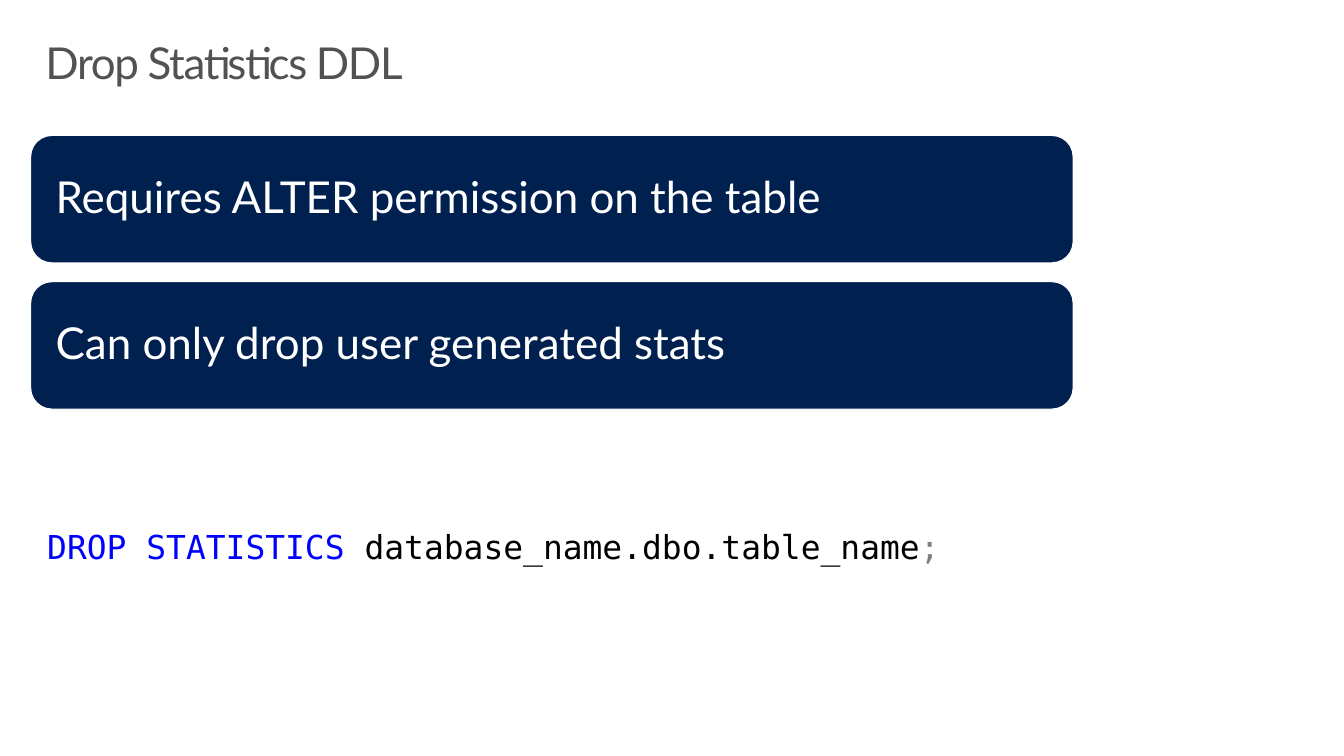
from pptx import Presentation
from pptx.dml.color import RGBColor
from pptx.enum.shapes import MSO_SHAPE as SHAPE
from pptx.enum.text import MSO_ANCHOR as ANCHOR, MSO_AUTO_SIZE as FIT, PP_ALIGN as ALIGN
from pptx.util import Pt

PX = 9144
SANS, MONO = "Lato", "DejaVu Sans Mono"
COLORS = {
    "navy": "002050",
    "white": "FFFFFF",
    "title": "525252",
    "keyword": "0000FF",
    "name": "000000",
    "symbol": "808080",
}


def px(*values):
    """Turn px lengths into EMU."""
    return [v * PX for v in values]


def rgb(name):
    """Look up a named colour."""
    return RGBColor.from_string(COLORS[name])


def set_frame(tf, inset_x, inset_y, anchor):
    """Set wrapping, insets and anchor of a text frame."""
    tf.word_wrap = True
    tf.auto_size = FIT.NONE
    tf.margin_left = tf.margin_right = inset_x * PX
    tf.margin_top = tf.margin_bottom = inset_y * PX
    tf.vertical_anchor = anchor


def add_text(p, text, size=32, color="white", font=SANS, line=None, spacing=None):
    """Add a formatted run to a left-aligned paragraph."""
    p.alignment = ALIGN.LEFT
    p.line_spacing = line
    r = p.add_run()
    r.text = text
    r.font.name, r.font.size = font, Pt(size)
    r.font.color.rgb = rgb(color)
    if spacing is not None:
        r.font._element.set("spc", str(spacing * 100))


def add_title(s, text, x, y, w, h):
    """Fill and place the title placeholder."""
    sp = s.shapes.title
    sp.left, sp.top, sp.width, sp.height = px(x, y, w, h)
    set_frame(sp.text_frame, 16, 10, ANCHOR.TOP)
    add_text(sp.text_frame.paragraphs[0], text, color="title", line=0.9, spacing=-1)


def add_cards(s, texts, x, y, w, h, gap):
    """Stack one rounded card per text inside the box."""
    card_h = (h - gap * (len(texts) - 1)) // len(texts)
    for i, text in enumerate(texts):
        top = y + i * (card_h + gap)
        sp = s.shapes.add_shape(SHAPE.ROUNDED_RECTANGLE, *px(x, top, w, card_h))
        sp.shadow.inherit = False
        sp.fill.solid()
        sp.fill.fore_color.rgb = rgb("navy")
        sp.line.color.rgb = rgb("white")
        sp.line.width = Pt(0.85)
        set_frame(sp.text_frame, 19, 19, ANCHOR.MIDDLE)
        add_text(sp.text_frame.paragraphs[0], text, line=0.9)


def add_code(s, tokens, x, y, w, h):
    """Add one line of coloured code."""
    tf = s.shapes.add_textbox(*px(x, y, w, h)).text_frame
    set_frame(tf, 10, 5, ANCHOR.TOP)
    for text, color in tokens:
        add_text(tf.paragraphs[0], text, size=24, color=color, font=MONO)


def main():
    """Build and save the slide."""
    prs = Presentation()
    prs.slide_width, prs.slide_height = px(1360, 765)
    s = prs.slides.add_slide(prs.slide_layouts[5])
    add_cards(
        s,
        ["Requires ALTER permission on the table", "Can only drop user generated stats"],
        31, 137, 1055, 277, gap=19,
    )
    add_title(s, "Drop Statistics DDL", 30, 32, 1300, 100)
    add_code(
        s,
        [
            ("DROP STATISTICS ", "keyword"),
            ("database_name.dbo.table_name", "name"),
            (";", "symbol"),
        ],
        38, 528, 1213, 50,
    )
    prs.save("out.pptx")


if __name__ == "__main__":
    main()
